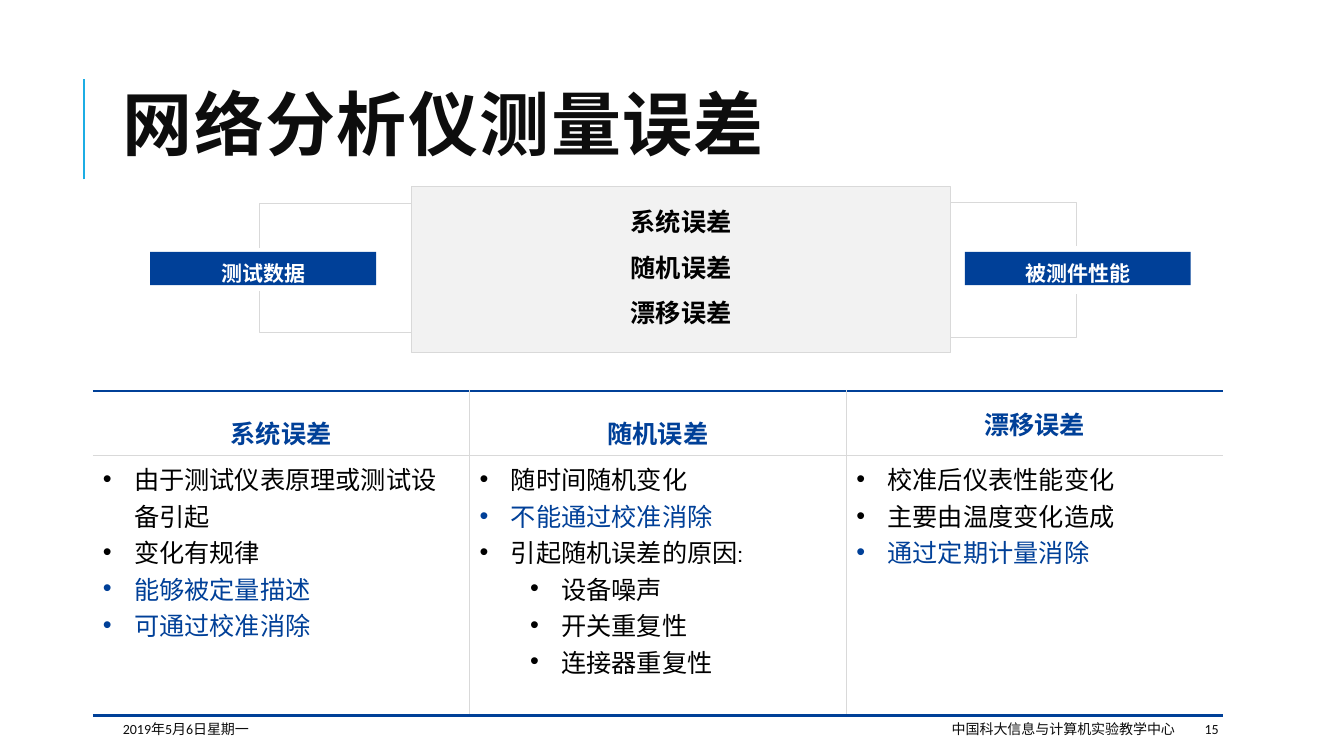
from lxml import etree
from pptx import Presentation
from pptx.dml.color import RGBColor
from pptx.enum.shapes import MSO_CONNECTOR, MSO_SHAPE
from pptx.enum.text import MSO_ANCHOR, MSO_AUTO_SIZE, PP_ALIGN
from pptx.oxml.ns import qn
from pptx.util import Inches, Pt

LEFT, CENTER, RIGHT = PP_ALIGN.LEFT, PP_ALIGN.CENTER, PP_ALIGN.RIGHT
TOP, MIDDLE, BOTTOM = MSO_ANCHOR.TOP, MSO_ANCHOR.MIDDLE, MSO_ANCHOR.BOTTOM
SHRINK = MSO_AUTO_SIZE.TEXT_TO_FIT_SHAPE
RECT, STRAIGHT = MSO_SHAPE.RECTANGLE, MSO_CONNECTOR.STRAIGHT


class SlideBuilder:
    COLORS = {"blue": "004098", "cyan": "1CADE4", "grey": "D9D9D9", "pale": "F2F2F2",
              "ink": "0D0D0D", "black": "000000", "white": "FFFFFF"}
    CJK = "Noto Sans CJK SC"

    def __init__(self, slide):
        self.slide = slide

    def color(self, name):
        return RGBColor.from_string(self.COLORS[name])

    def paragraph(self, tf, first, text, size, color, font=CJK, bold=False,
                  align=LEFT, spacing=1.0):
        p = tf.paragraphs[0] if first else tf.add_paragraph()
        p.alignment, p.line_spacing = align, spacing
        r = p.add_run()
        r.text = text
        r.font.size, r.font.bold, r.font.name = Pt(size), bold, font
        r.font.color.rgb = self.color(color)
        etree.SubElement(r.font._element, qn("a:ea")).set("typeface", self.CJK)
        return p

    def text(self, box, text, size, **style):
        s = self.slide.shapes.add_textbox(*map(Inches, box))
        tf = s.text_frame
        tf.word_wrap, tf.vertical_anchor = True, MIDDLE
        return self.paragraph(tf, True, text, size, "ink", font="Calibri", **style)

    def box(self, box, lines, size, color, fill, line=None, anchor=TOP):
        s = self.slide.shapes.add_shape(RECT, *map(Inches, box))
        s.shadow.inherit = False
        s.fill.solid()
        s.fill.fore_color.rgb = self.color(fill)
        self.outline(s, line)
        tf = s.text_frame
        tf.word_wrap, tf.vertical_anchor = True, anchor
        for i, text in enumerate(lines):
            self.paragraph(tf, i == 0, text, size, color, bold=True,
                           align=CENTER, spacing=1.5)
        return tf

    def label(self, box, text):
        tf = self.box(box, [text], 15, "white", "blue", anchor=BOTTOM)
        tf.margin_left = tf.margin_right = tf.margin_top = tf.margin_bottom = 0

    def outline(self, s, color, width=0.75):
        if color is None:
            s.line.fill.background()
        else:
            s.line.color.rgb = self.color(color)
            s.line.width = Pt(width)

    def line(self, start, end, color, width):
        s = self.slide.shapes.add_connector(STRAIGHT, *map(Inches, start + end))
        self.outline(s, color, width)
        etree.SubElement(s._element.spPr, qn("a:effectLst"))

    def bracket(self, *points):
        emu = [(Inches(x), Inches(y)) for x, y in points]
        builder = self.slide.shapes.build_freeform(*emu[0])
        builder.add_line_segments(emu[1:], close=False)
        s = builder.convert_to_shape()
        s.shadow.inherit = False
        s.fill.background()
        self.outline(s, "grey")

    def table(self, box, columns, heights):
        frame = self.slide.shapes.add_table(2, len(columns), *map(Inches, box))
        table = frame.table
        table.first_row = table.horz_banding = False
        for row, height in zip(table.rows, heights):
            row.height = Inches(height)
        last = len(columns) - 1
        for c, (header, font, spacing, items) in enumerate(columns):
            head, body = table.cell(0, c), table.cell(1, c)
            head.vertical_anchor = MIDDLE
            self.paragraph(head.text_frame, True, header, 18, "blue", font=font,
                           bold=True, align=CENTER, spacing=spacing)
            for i, (text, color, level) in enumerate(items):
                p = self.paragraph(body.text_frame, i == 0, text, 18, color, font="Cabin")
                self.bullet(p, level)
            sides = {"L": ("grey", 1) if c else None,
                     "R": ("grey", 1) if c < last else None}
            thick, thin = ("blue", 2.25), ("grey", 1)
            self.borders(head, {**sides, "T": thick, "B": thin})
            self.borders(body, {**sides, "T": thin, "B": thick})

    def bullet(self, p, level):
        p.level = level
        pPr = p._p.get_or_add_pPr()
        pPr.set("marL", str(Inches(0.31 + 0.5 * level)))
        pPr.set("indent", str(Inches(-0.31)))
        etree.SubElement(pPr, qn("a:buFont")).set("typeface", "Arial")
        etree.SubElement(pPr, qn("a:buChar")).set("char", "•")

    def borders(self, cell, sides):
        cell.fill.background()
        tcPr = cell._tc.get_or_add_tcPr()
        for i, (side, style) in enumerate(sides.items()):
            ln = etree.Element(qn("a:ln" + side))
            tcPr.insert(i, ln)
            if style is None:
                etree.SubElement(ln, qn("a:noFill"))
                continue
            color, width = style
            ln.set("w", str(Pt(width)))
            fill = etree.SubElement(ln, qn("a:solidFill"))
            etree.SubElement(fill, qn("a:srgbClr")).set("val", self.COLORS[color])


def main():
    prs = Presentation()
    prs.slide_width, prs.slide_height = Inches(13.33), Inches(7.5)
    b = SlideBuilder(prs.slides.add_slide(prs.slide_layouts[6]))

    b.line((0.83, 1.78), (0.83, 0.78), "cyan", 1.5)
    title = b.text((1.12, 0.64, 11.29, 1.3), "网络分析仪测量误差", 50, bold=True, spacing=0.8)
    title.runs[0].font._element.set("spc", "100")

    for left, width, text, align in [
        (1.12, 2.36, "2019年5月6日星期一", LEFT),
        (5.3, 6.45, "中国科大信息与计算机实验教学中心", RIGHT),
        (11.85, 1.06, "15", LEFT),
    ]:
        b.text((left, 7.08, width, 0.3), text, 10, align=align)

    b.bracket((4.85, 2.02), (2.57, 2.02), (2.57, 2.46))
    b.bracket((2.57, 2.89), (2.57, 3.3), (4.74, 3.3))
    b.bracket((8.66, 2.01), (10.68, 2.01), (10.68, 2.44))
    b.bracket((10.68, 2.92), (10.68, 3.35), (8.67, 3.35))
    b.label((1.49, 2.5, 2.24, 0.33), "测试数据")
    errors = b.box((4.08, 1.85, 5.35, 1.65), ["系统误差", "随机误差", "漂移误差"],
                   18, "black", "pale", "grey")
    errors.auto_size = SHRINK
    b.label((9.57, 2.5, 2.24, 0.33), "被测件性能")

    columns = [
        ("系统误差", b.CJK, 1.5, [
            ("由于测试仪表原理或测试设备引起", "black", 0),
            ("变化有规律", "black", 0),
            ("能够被定量描述", "blue", 0),
            ("可通过校准消除", "blue", 0)]),
        ("随机误差", b.CJK, 1.5, [
            ("随时间随机变化", "black", 0),
            ("不能通过校准消除", "blue", 0),
            ("引起随机误差的原因:", "black", 0),
            ("设备噪声", "black", 1),
            ("开关重复性", "black", 1),
            ("连接器重复性", "black", 1)]),
        ("漂移误差", "Cabin", 1.0, [
            ("校准后仪表性能变化", "black", 0),
            ("主要由温度变化造成", "black", 0),
            ("通过定期计量消除", "blue", 0)]),
    ]
    b.table((0.92, 3.88, 11.21, 3.22), columns, (0.64, 2.58))
    prs.save("out.pptx")


if __name__ == "__main__":
    main()
